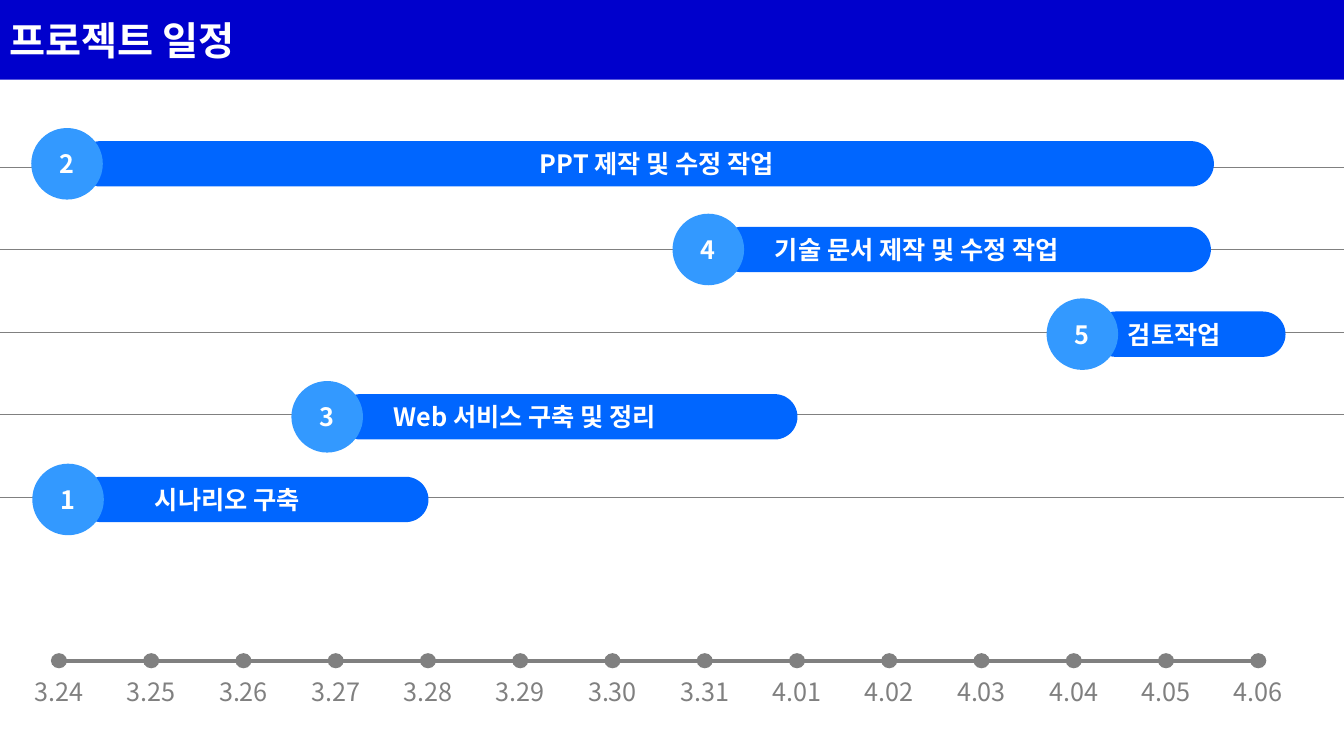
from lxml import etree
from pptx import Presentation
from pptx import util as u
from pptx.dml.color import RGBColor
from pptx.enum import shapes, text
from pptx.oxml.ns import qn

Inches = u.Inches
FONT = "Noto Sans CJK KR"
COLORS = {"title": "0000CC", "bar": "0066FF", "badge": "3399FF",
          "axis": "808080", "white": "FFFFFF"}
CENTER, LEFT = text.PP_ALIGN.CENTER, text.PP_ALIGN.LEFT
SHAPE = shapes.MSO_SHAPE

prs = Presentation()
prs.slide_width, prs.slide_height = Inches(13.33), Inches(7.5)
s = prs.slides.add_slide(prs.slide_layouts[6])
axis = s.shapes


def add_box(parent, kind, x, y, w, h, fill, label="", size=18, align=CENTER,
            color="white", bold=True, inset=0.1):
    box = [Inches(v) for v in (x, y, w, h)]
    if kind is None:
        sp = parent.add_textbox(*box)
    else:
        sp = parent.add_shape(kind, *box)
        sp.shadow.inherit = False
        sp.fill.solid()
        sp.fill.fore_color.rgb = RGBColor.from_string(COLORS[fill])
        sp.line.fill.background()
    if label:
        tf = sp.text_frame
        tf.word_wrap = True
        tf.margin_left = Inches(inset)
        tf.vertical_anchor = text.MSO_ANCHOR.TOP if kind is None else text.MSO_ANCHOR.MIDDLE
        p = tf.paragraphs[0]
        p.alignment = align
        r = p.add_run()
        r.text = label
        r.font.size, r.font.bold, r.font.name = u.Pt(size), bold, FONT
        r.font.color.rgb = RGBColor.from_string(COLORS[color])
        ea = etree.SubElement(r.font._element, qn("a:ea"))
        ea.set("typeface", FONT)
    return sp


def add_line(x1, x2, y, width):
    line = s.shapes.add_connector(shapes.MSO_CONNECTOR.STRAIGHT,
                                  Inches(x1), Inches(y), Inches(x2), Inches(y))
    line.line.color.rgb = RGBColor.from_string(COLORS["axis"])
    line.line.width = u.Pt(width)
    etree.SubElement(line._element.spPr, qn("a:effectLst"))


add_line(0.58, 12.56, 6.56, 2.5)
dates = [f"3.{day}" for day in range(24, 32)] + [f"4.{day:02}" for day in range(1, 7)]
ticks = s.shapes.add_group_shape().shapes
for i, date in enumerate(dates):
    center = 0.585 + 0.915 * i
    add_box(ticks, SHAPE.OVAL, center - 0.08, 6.48, 0.16, 0.15, "axis")
    add_box(ticks, None, center - 0.44, 6.66, 0.88, 0.4, None, date,
            color="axis", bold=False)

for row in range(5):
    add_line(0, 13.33, 1.66 + 0.8175 * row, 0.5)

add_box(s.shapes, SHAPE.RECTANGLE, 0, 0, 13.33, 0.79, "title",
        "프로젝트 일정", size=28, align=LEFT)

tasks = [
    ("2", "PPT 제작 및 수정 작업", 0.31, 1.27, 12.04, CENTER, 0.32),
    ("1", "시나리오 구축", 0.32, 4.6, 4.25, LEFT, 0.69),
    ("3", "Web 서비스 구축 및 정리", 2.89, 3.78, 7.91, LEFT, 0.49),
    ("4", "기술 문서 제작 및 수정 작업", 6.67, 2.12, 12.01, LEFT, 0.49),
    ("5", "검토작업", 10.38, 2.96, 12.75, LEFT, 0.28),
]
for number, name, x, y, end, align, inset in tasks:
    start = x + 0.46
    bar = add_box(s.shapes, SHAPE.ROUNDED_RECTANGLE, start, y + 0.13, end - start, 0.45,
                  "bar", name, align=align, inset=inset)
    bar.adjustments[0] = 0.5
    add_box(s.shapes, SHAPE.OVAL, x, y, 0.71, 0.71, "badge", number)

prs.save("out.pptx")
